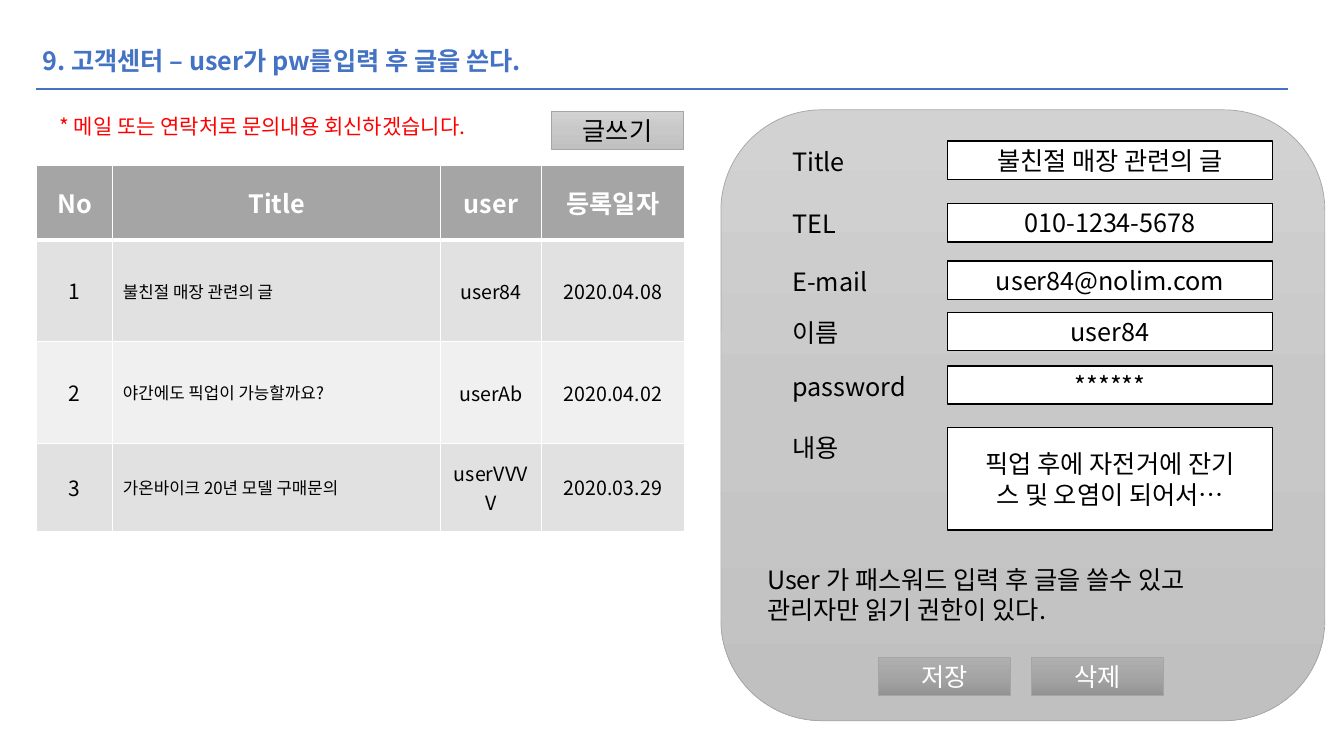
from copy import deepcopy

from lxml import etree
from pptx import Presentation
from pptx.dml.color import RGBColor
from pptx.enum.shapes import MSO_CONNECTOR, MSO_SHAPE
from pptx.enum.text import MSO_ANCHOR, MSO_AUTO_SIZE, PP_ALIGN
from pptx.oxml import parse_xml
from pptx.oxml.ns import nsdecls, qn
from pptx.util import Inches, Pt

FONT = "Noto Sans CJK KR"
BLUE = RGBColor(0x44, 0x72, 0xC4)
RED = RGBColor(0xFF, 0, 0)
BLACK = RGBColor(0, 0, 0)
WHITE = RGBColor(0xFF, 0xFF, 0xFF)
GRAY = RGBColor(0xA5, 0xA5, 0xA5)
ROW_DARK = RGBColor(0xE1, 0xE1, 0xE1)
ROW_LIGHT = RGBColor(0xF0, 0xF0, 0xF0)
LIGHT_GRADIENT = (RGBColor(0xD2, 0xD2, 0xD2), RGBColor(0xC8, 0xC8, 0xC8), RGBColor(0xC0, 0xC0, 0xC0))
DARK_GRADIENT = (RGBColor(0xAF, 0xAF, 0xAF), GRAY, RGBColor(0x93, 0x93, 0x93))

TITLE = "9. 고객센터 – user가 pw를입력 후 글을 쓴다."
REPLY_NOTE = "* 메일 또는 연락처로 문의내용 회신하겠습니다."
ACCESS_NOTE = "User 가 패스워드 입력 후 글을 쓸수 있고\n관리자만 읽기 권한이 있다."

POSTS = [
    ("No", "Title", "user", "등록일자"),
    ("1", "불친절 매장 관련의 글", "user84", "2020.04.08"),
    ("2", "야간에도 픽업이 가능할까요?", "userAb", "2020.04.02"),
    ("3", "가온바이크 20년 모델 구매문의", "userVVVV", "2020.03.29"),
]
COLUMN_WIDTHS = (0.76, 3.25, 1, 1.42)
COLUMN_SIZES = (15, 12, 14, 14)
ROW_HEIGHTS = (0.74, 1.01, 1.01, 0.87)

# label, value, top, height of the value box
FIELDS = [
    ("Title", "불친절 매장 관련의 글", 1.4, 0.38),
    ("TEL", "010-1234-5678", 2.02, 0.38),
    ("E-mail", "user84@nolim.com", 2.59, 0.38),
    ("이름", "user84", 3.1, 0.38),
    ("password", "******", 3.63, 0.38),
    ("내용", "픽업 후에 자전거에 잔기\n스 및 오염이 되어서…", 4.24, 1.02),
]
# text, left, top, gradient, text colour
BUTTONS = [
    ("글쓰기", 5.47, 1.1, LIGHT_GRADIENT, BLACK),
    ("저장", 8.71, 6.52, DARK_GRADIENT, WHITE),
    ("삭제", 10.23, 6.52, DARK_GRADIENT, WHITE),
]


def write(frame, text, size, color, align=PP_ALIGN.LEFT, bold=False):
    frame.text = text
    for paragraph in frame.paragraphs:
        paragraph.alignment = align
        for run in paragraph.runs:
            run.font.name = FONT
            run.font.size = Pt(size)
            run.font.bold = bold
            run.font.color.rgb = color
            east_asian = etree.Element(qn("a:ea"), typeface=FONT)
            run.font._element.find(qn("a:latin")).addnext(east_asian)


def add_label(slide, text, left, top, width, height, size=18, color=BLACK):
    frame = slide.shapes.add_textbox(Inches(left), Inches(top), Inches(width), Inches(height)).text_frame
    frame.word_wrap = True
    frame.auto_size = MSO_AUTO_SIZE.SHAPE_TO_FIT_TEXT
    write(frame, text, size, color)


def add_box(slide, kind, left, top, width, height, line_color, line_width):
    box = slide.shapes.add_shape(kind, Inches(left), Inches(top), Inches(width), Inches(height))
    box.shadow.inherit = False
    box.line.color.rgb = line_color
    box.line.width = Pt(line_width)
    box.text_frame.vertical_anchor = MSO_ANCHOR.MIDDLE
    return box


def fill_gradient(shape, colors):
    """Fill from top to bottom with three evenly spaced colours."""
    shape.fill.gradient()
    shape.fill.gradient_angle = 270
    stop_list = shape.fill._xPr.find(qn("a:gradFill")).find(qn("a:gsLst"))
    stop_list.append(deepcopy(stop_list[-1]))
    for index, (stop, color) in enumerate(zip(shape.fill.gradient_stops, colors)):
        stop.position = index / 2
        stop.color.rgb = color


def add_borders(cell, widths):
    """Draw white borders; widths are left, right, top, bottom in points."""
    properties = cell._tc.get_or_add_tcPr()
    for side, width in zip("LRTB", widths):
        properties.append(parse_xml(
            f'<a:ln{side} {nsdecls("a")} w="{Pt(width)}"><a:solidFill>'
            f'<a:srgbClr val="{WHITE}"/></a:solidFill></a:ln{side}>'))


def add_heading(slide):
    title = slide.shapes.title
    title.left, title.top, title.width, title.height = map(Inches, (0.32, 0.4, 6.09, 0.4))
    title.text_frame.word_wrap = True
    title.text_frame.auto_size = MSO_AUTO_SIZE.SHAPE_TO_FIT_TEXT
    title.text_frame.vertical_anchor = MSO_ANCHOR.TOP
    write(title.text_frame, TITLE, 18, BLUE, bold=True)
    rule = slide.shapes.add_connector(
        MSO_CONNECTOR.STRAIGHT, Inches(0.36), Inches(0.88), Inches(12.77), Inches(0.88))
    rule.line.color.rgb = BLUE
    rule.line.width = Pt(1.5)
    etree.SubElement(rule._element.spPr, qn("a:effectLst"))


def add_posts(slide):
    table = slide.shapes.add_table(
        len(POSTS), len(COLUMN_WIDTHS), Inches(0.36), Inches(1.64),
        Inches(sum(COLUMN_WIDTHS)), Inches(sum(ROW_HEIGHTS))).table
    for column, width in zip(table.columns, COLUMN_WIDTHS):
        column.width = Inches(width)
    for r, (post, height) in enumerate(zip(POSTS, ROW_HEIGHTS)):
        table.rows[r].height = Inches(height)
        header = r == 0
        for c, text in enumerate(post):
            cell = table.cell(r, c)
            cell.vertical_anchor = MSO_ANCHOR.MIDDLE
            add_borders(cell, (1, 1, 3 if r == 1 else 1, 3 if header else 1))
            cell.fill.solid()
            cell.fill.fore_color.rgb = GRAY if header else ROW_DARK if r % 2 else ROW_LIGHT
            align = PP_ALIGN.LEFT if c == 1 and not header else PP_ALIGN.CENTER
            write(cell.text_frame, text, 18 if header else COLUMN_SIZES[c],
                  WHITE if header else BLACK, align, header)


def add_form(slide):
    panel = add_box(slide, MSO_SHAPE.ROUNDED_RECTANGLE, 7.15, 1.09, 5.99, 6.06, GRAY, 0.5)
    fill_gradient(panel, LIGHT_GRADIENT)
    for label, value, top, height in FIELDS:
        add_label(slide, label, 7.76, top, 1.64, 0.4)
        entry = add_box(slide, MSO_SHAPE.RECTANGLE, 9.4, top, 3.22, height, BLACK, 1)
        entry.fill.solid()
        entry.fill.fore_color.rgb = WHITE
        write(entry.text_frame, value, 18, BLACK, PP_ALIGN.CENTER)
    add_label(slide, ACCESS_NOTE, 7.51, 5.55, 5.44, 0.71)


def main():
    deck = Presentation()
    deck.slide_width, deck.slide_height = Inches(13.33), Inches(7.5)
    slide = deck.slides.add_slide(deck.slide_layouts[5])
    add_heading(slide)
    add_label(slide, REPLY_NOTE, 0.49, 1.08, 5.44, 0.35, 15, RED)
    add_posts(slide)
    add_form(slide)
    for text, left, top, gradient, color in BUTTONS:
        button = add_box(slide, MSO_SHAPE.RECTANGLE, left, top, 1.31, 0.38, GRAY, 0.5)
        fill_gradient(button, gradient)
        write(button.text_frame, text, 18, color, PP_ALIGN.CENTER)
    deck.save("out.pptx")


if __name__ == "__main__":
    main()
